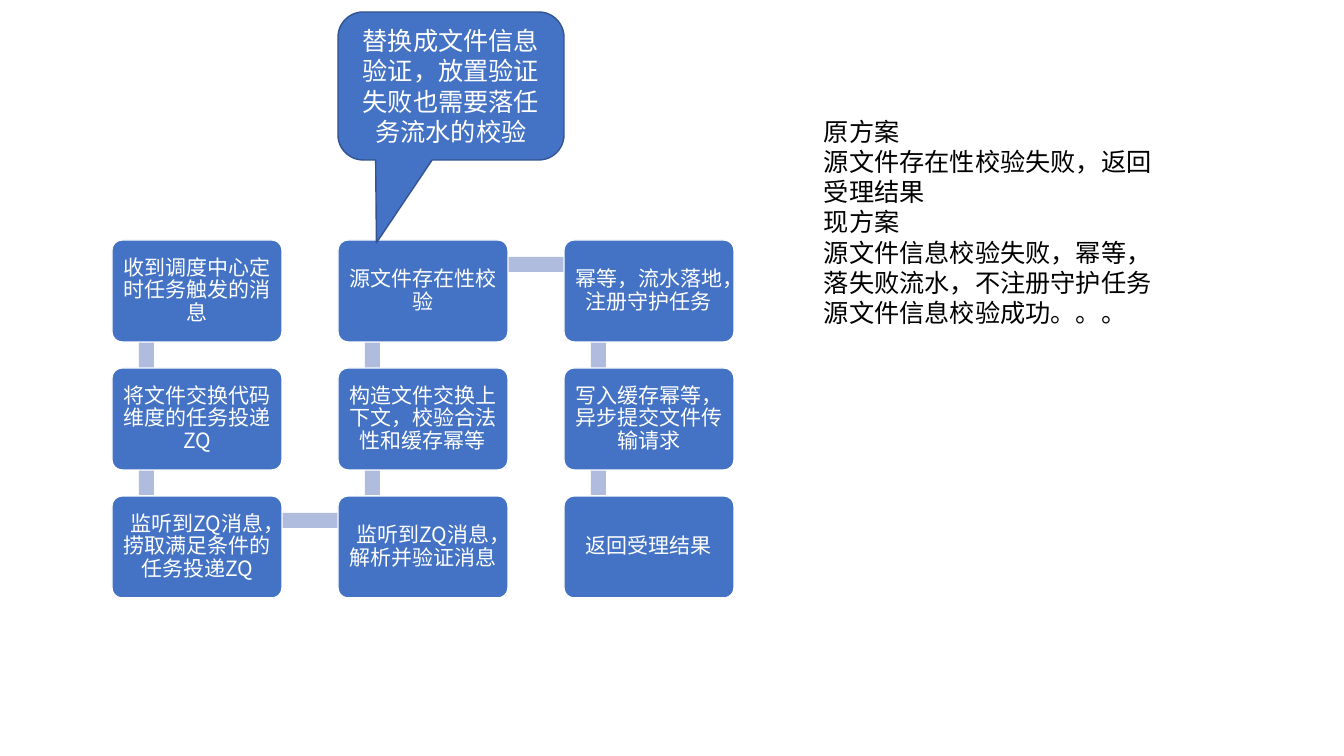
from itertools import zip_longest
from lxml.etree import SubElement
from pptx import Presentation
from pptx.dml.color import RGBColor
from pptx.enum.shapes import MSO_SHAPE as SHAPE
from pptx.enum.text import MSO_ANCHOR as ANCHOR, MSO_AUTO_SIZE as AUTO, PP_ALIGN as ALIGN
from pptx.oxml.ns import qn
from pptx.util import Pt

EMU_PER_PX = 914400 / 100.8
BLUE, DARK_BLUE, PALE_BLUE = "4472C4", "325491", "B0BCDE"
WHITE, BLACK = "FFFFFF", "000000"


def px(n):
    """Turn pixels into EMU."""
    return round(n * EMU_PER_PX)


def color(hex_string):
    """Turn a hex string into a colour."""
    return RGBColor.from_string(hex_string)


class Board:
    """Holds the font and the current slide, and draws on it."""

    def __init__(self, slide, font):
        """Keep the slide and the font name."""
        self.shapes, self.font = slide.shapes, font

    def set_text(self, sp, lines, size, fill, align, spacing=None):
        """Fill a shape with one paragraph per line."""
        tf = sp.text_frame
        tf.word_wrap = True
        tf.text = "\n".join(lines)
        for p in tf.paragraphs:
            p.alignment, p.line_spacing = align, spacing
            p.font.size, p.font.name = Pt(size), self.font
            p.font.color.rgb = color(fill)
            SubElement(p._p.pPr.find(qn("a:defRPr")), qn("a:ea"), typeface=self.font)
        return tf

    def shape(self, kind, box, fill, line=None, adjust=()):
        """Draw a filled preset shape."""
        sp = self.shapes.add_shape(kind, *map(px, box))
        sp.shadow.inherit = False
        sp.fill.solid()
        sp.fill.fore_color.rgb = color(fill)
        if line:
            sp.line.color.rgb, sp.line.width = color(line), Pt(1)
        else:
            sp.line.fill.background()
        for i, value in enumerate(adjust):
            sp.adjustments[i] = value
        return sp

    def step(self, box, label):
        """Draw one step of the flow."""
        sp = self.shape(SHAPE.ROUNDED_RECTANGLE, box, BLUE, WHITE, [0.1])
        tf = self.set_text(sp, [label], 15, WHITE, ALIGN.CENTER, 0.9)
        tf.vertical_anchor = ANCHOR.MIDDLE
        tf.margin_left = tf.margin_right = tf.margin_top = tf.margin_bottom = px(6)

    def callout(self, box, label, adjust):
        """Draw a speech bubble."""
        sp = self.shape(SHAPE.ROUNDED_RECTANGULAR_CALLOUT, box, BLUE, DARK_BLUE, adjust)
        self.set_text(sp, [label], 18, WHITE, ALIGN.CENTER).vertical_anchor = ANCHOR.MIDDLE

    def note(self, box, lines):
        """Add a plain text block."""
        sp = self.shapes.add_textbox(*map(px, box))
        self.set_text(sp, lines, 18, BLACK, ALIGN.LEFT).auto_size = AUTO.SHAPE_TO_FIT_TEXT


STEPS = [
    "收到调度中心定时任务触发的消息",
    "将文件交换代码维度的任务投递ZQ",
    "监听到ZQ消息，捞取满足条件的任务投递ZQ",
    "监听到ZQ消息，解析并验证消息",
    "构造文件交换上下文，校验合法性和缓存幂等",
    "源文件存在性校验",
    "幂等，流水落地，注册守护任务",
    "写入缓存幂等，异步提交文件传输请求",
    "返回受理结果",
]
NOTE = [
    "原方案",
    "源文件存在性校验失败，返回受理结果",
    "现方案",
    "源文件信息校验失败，幂等，落失败流水，不注册守护任务",
    "源文件信息校验成功。。。",
]
LEFT, TOP, STEP_W, STEP_H = 112, 240, 170, 102
COL_PITCH, ROW_PITCH, ROWS, BAR = 226, 128, 3, 15


def place(i):
    """Corner of step i on a path that runs down, then up, then down."""
    col, row = divmod(i, ROWS)
    if col % 2:
        row = ROWS - 1 - row
    return LEFT + col * COL_PITCH, TOP + row * ROW_PITCH


def link(start, end):
    """Box of the bar that joins two neighbouring steps."""
    (x, y), (x2, y2) = start, end
    if x == x2:
        return x + 27, min(y, y2) + 26, BAR, ROW_PITCH
    return x + 35, y + 17, COL_PITCH, BAR


prs = Presentation()
prs.slide_width, prs.slide_height = px(1344), px(756)
board = Board(prs.slides.add_slide(prs.slide_layouts[6]), "Noto Sans CJK SC")

corners = [place(i) for i in range(len(STEPS))]
for label, corner, following in zip_longest(STEPS, corners, corners[1:]):
    if following:
        board.shape(SHAPE.RECTANGLE, link(corner, following), PALE_BLUE)
    board.step((*corner, STEP_W, STEP_H), label)

board.callout((338, 12, 226, 148), "替换成文件信息验证，放置验证失败也需要落任务流水的校验",
              [-0.33, 1.06, 0.17])
board.note((814, 111, 362, 224), NOTE)

prs.save("out.pptx")
